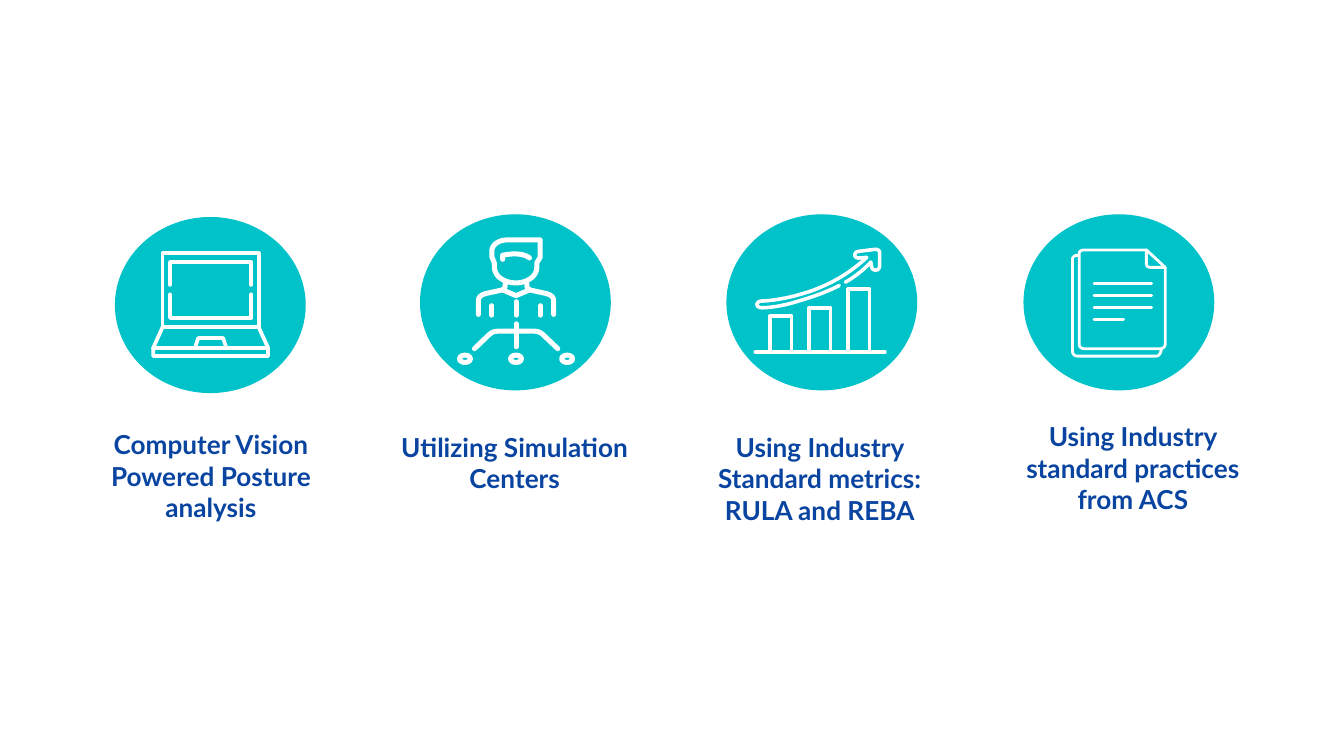
import lxml.etree
import pptx
import pptx.dml.color
import pptx.enum.shapes
import pptx.enum.text
import pptx.oxml.ns
import pptx.util

TEAL, BLUE, WHITE = "00C2C9", "0944A1", "FFFFFF"
DISC_WIDE, DISC_HIGH = 14.1, 13
MID = 7.1  # axis of the seated figure


def tint(code):
    return pptx.dml.color.RGBColor.from_string(code)


def cell(count):
    """Length of so many grid cells, each a hundredth of the slide's width."""
    return pptx.util.Inches(count / 10)


def bend(start, curve, steps=10):
    """Points along a cubic curve given as two handles and an end."""
    marks = [start, curve[:2], curve[2:4], curve[4:]]
    for step in range(1, steps + 1):
        t = step / steps
        parts = ((1 - t) ** 3, 3 * t * (1 - t) ** 2, 3 * t * t * (1 - t), t ** 3)
        yield tuple(sum(w * mark[axis] for w, mark in zip(parts, marks))
                    for axis in (0, 1))


def flip(path):
    """Mirror a path about the figure's axis."""
    return [tuple(2 * MID - v if i % 2 == 0 else v for i, v in enumerate(node))
            for node in path]


class Deck:
    """Holds the style and the slide; icon places count from the current disc."""

    def __init__(self):
        self.file = pptx.Presentation()
        self.file.slide_width, self.file.slide_height = cell(100), cell(56.25)
        self.slide = self.file.slides.add_slide(self.file.slide_layouts[6])
        self.shapes = self.slide.shapes
        self.font, self.size = "Lato", 14
        self.left = self.top = 0
        self.pen = 2

    def place(self, x, y):
        return cell(self.left + x), cell(self.top + y)

    def ink(self, shape):
        """Draw the shape's line in white with round ends and corners."""
        shape.line.color.rgb = tint(WHITE)
        shape.line.width = pptx.util.Pt(self.pen)
        name = pptx.oxml.ns.qn
        line = shape.element.spPr.find(name("a:ln"))
        line.set("cap", "rnd")
        lxml.etree.SubElement(line, name("a:round"))

    def disc(self, left, top, pen):
        self.left, self.top, self.pen = left, top, pen
        kind = pptx.enum.shapes.MSO_SHAPE.FLOWCHART_CONNECTOR
        disc = self.shapes.add_shape(kind, *self.place(0, 0),
                                     cell(DISC_WIDE), cell(DISC_HIGH))
        disc.shadow.inherit = False
        disc.fill.solid()
        disc.fill.fore_color.rgb = tint(TEAL)
        disc.line.color.rgb = tint(TEAL)
        disc.line.width = pptx.util.Pt(0.75)

    def trace(self, path, close=False):
        """Outline through points; a node of six numbers is a curve."""
        dots = [path[0]]
        for node in path[1:]:
            dots.extend(bend(dots[-1], node) if len(node) == 6 else [node])
        spots = [self.place(*dot) for dot in dots]
        maker = self.shapes.build_freeform(*spots[0])
        maker.add_line_segments(spots[1:], close=close)
        shape = maker.convert_to_shape()
        shape.shadow.inherit = False
        shape.fill.background()
        self.ink(shape)

    def line(self, x1, y1, x2, y2):
        kind = pptx.enum.shapes.MSO_CONNECTOR.STRAIGHT
        line = self.shapes.add_connector(kind, *self.place(x1, y1),
                                         *self.place(x2, y2))
        self.ink(line)
        lxml.etree.SubElement(line.element.spPr,
                              pptx.oxml.ns.qn("a:effectLst"))

    def ring(self, x, y, wide, high):
        """Hollow oval about a centre."""
        ring = self.shapes.add_shape(pptx.enum.shapes.MSO_SHAPE.OVAL,
                                     *self.place(x - wide / 2, y - high / 2),
                                     cell(wide), cell(high))
        ring.shadow.inherit = False
        ring.fill.background()
        self.ink(ring)

    def label(self, text, left, top, wide, high):
        box = self.shapes.add_textbox(cell(left), cell(top),
                                      cell(wide), cell(high))
        frame = box.text_frame
        frame.word_wrap = True
        frame.margin_left = frame.margin_right = cell(1)
        frame.margin_top = frame.margin_bottom = cell(1)
        para = frame.paragraphs[0]
        para.alignment = pptx.enum.text.PP_ALIGN.CENTER
        run = para.add_run()
        run.text = text
        run.font.name, run.font.size = self.font, pptx.util.Pt(self.size)
        run.font.bold = True
        run.font.color.rgb = tint(BLUE)


def laptop(deck):
    deck.trace([(3.5, 2.65), (10.65, 2.65), (10.65, 8.15), (3.5, 8.15)], True)
    for tip, edge in ((5, 3.3), (5.7, 7.45)):
        deck.trace([(4.05, tip), (4.05, edge), (10.1, edge), (10.1, tip)])
    deck.trace([(3.5, 8.15), (2.8, 9.7), (2.8, 10.3), (11.35, 10.3),
                (11.35, 9.7), (10.65, 8.15)])
    deck.line(2.8, 9.7, 11.35, 9.7)
    deck.trace([(5.9, 9.7), (6.15, 8.95), (8, 8.95), (8.25, 9.7)])


def person(deck):
    deck.trace([(8.9, 1.85), (8.9, 3.15), (8.65, 3.55), (8.65, 3.9),
                (8.65, 4.55, 7.95, 5.05, 7.1, 5.05),
                (6.2, 5.05, 5.5, 4.55, 5.5, 3.9), (5.5, 3.6), (5.3, 3.1),
                (5.3, 2.7), (5.3, 2.2, 5.8, 1.85, 6.5, 1.85)], True)
    deck.trace([(6.1, 3.3), (6.1, 3), (7, 2.8, 7.75, 2.9, 8.1, 3.2)])
    deck.trace([(6.15, 5.6), (MID, 6), (8.05, 5.6)])
    arm = [(4.3, 7.4), (4.3, 6.4), (4.3, 6.1, 4.5, 5.95, 4.85, 5.85),
           (6, 5.6), (6.25, 5.5, 6.3, 5.4, 6.3, 5.1)]
    leg = [(MID, 8.65), (5.8, 8.65), (5.4, 8.65, 5.3, 8.75, 5.1, 8.9),
           (4, 9.95)]
    for half in (arm, leg):
        deck.trace(half)
        deck.trace(flip(half))
    for x, top, end in ((MID, 6.45, 7.45), (MID, 8.1, 9.8),
                        (MID - 1.8, 6.75, 7.45), (MID + 1.8, 6.75, 7.45)):
        deck.line(x, top, x, end)
    for side in (-1, 0, 1):
        deck.ring(MID + side * 3.8, 10.7, 0.82, 0.55)


def growth(deck):
    base = 10.2
    deck.line(2.1, base, 11.75, base)
    for rank, top in enumerate((7.5, 6.9, 5.5)):
        x = 3.2 + 2.9 * rank
        deck.trace([(x, base), (x, top), (x + 1.6, top), (x + 1.6, base)])
    deck.trace([(8.35, 5.25), (7.45, 5.7, 6.5, 6.05, 5.65, 6.3),
                (4, 6.85, 2.9, 6.9, 2.6, 6.9),
                (2.1, 6.9, 2.1, 6.4, 2.6, 6.4),
                (2.7, 6.4, 3.9, 6.35, 5.45, 5.9),
                (6.9, 5.5, 8.75, 4.7, 10.4, 3.15), (9.8, 3.2),
                (9.4, 3.2, 9.4, 2.75, 9.8, 2.7), (11, 2.55),
                (11.25, 2.55, 11.35, 2.65, 11.35, 2.8), (11.35, 3.8),
                (11.35, 4.2, 10.75, 4.2, 10.75, 3.8), (10.7, 3.5),
                (10.2, 4.05, 9.5, 4.6, 8.8, 5)])


def papers(deck):
    deck.trace([(10.2, 10), (10.2, 10.1), (10.1, 10.4, 10, 10.5, 9.8, 10.5),
                (4, 10.5), (3.75, 10.5, 3.6, 10.35, 3.6, 10.1), (3.6, 3.35),
                (3.6, 3.1, 3.75, 3, 4, 3)])
    deck.trace([(10.5, 3.9), (10.5, 9.6), (10.5, 9.8, 10.35, 9.95, 10.1, 9.95),
                (4.5, 9.95), (4.25, 9.95, 4.1, 9.8, 4.1, 9.6), (4.1, 2.9),
                (4.1, 2.7, 4.25, 2.6, 4.5, 2.6), (9.1, 2.6)])
    deck.trace([(9.1, 2.6), (10.5, 3.9), (9.4, 3.9),
                (9.2, 3.9, 9.1, 3.8, 9.1, 3.6)], True)
    for row, end in enumerate((9.5, 9.5, 9.5, 7.4)):
        y = 5.1 + 0.9 * row
        deck.line(5.2, y, end, y)


def main():
    deck = Deck()
    items = (
        (laptop, (8.6, 16.2, 2), "Computer Vision Powered Posture analysis",
         (4.9, 30.9, 21.6, 9.1)),
        (person, (31.3, 16, 2.7), "Utilizing Simulation Centers",
         (28.8, 31.1, 19, 6.7)),
        (growth, (54.1, 16, 1.9),
         "Using Industry Standard metrics: RULA and REBA",
         (50.2, 31.1, 21.6, 9.1)),
        (papers, (76.2, 16, 1.5), "Using Industry standard practices from ACS",
         (73.5, 30.3, 21.6, 9.1)),
    )
    for icon, disc, text, box in items:
        deck.disc(*disc)
        icon(deck)
        deck.label(text, *box)
    deck.file.save("out.pptx")


if __name__ == "__main__":
    main()
